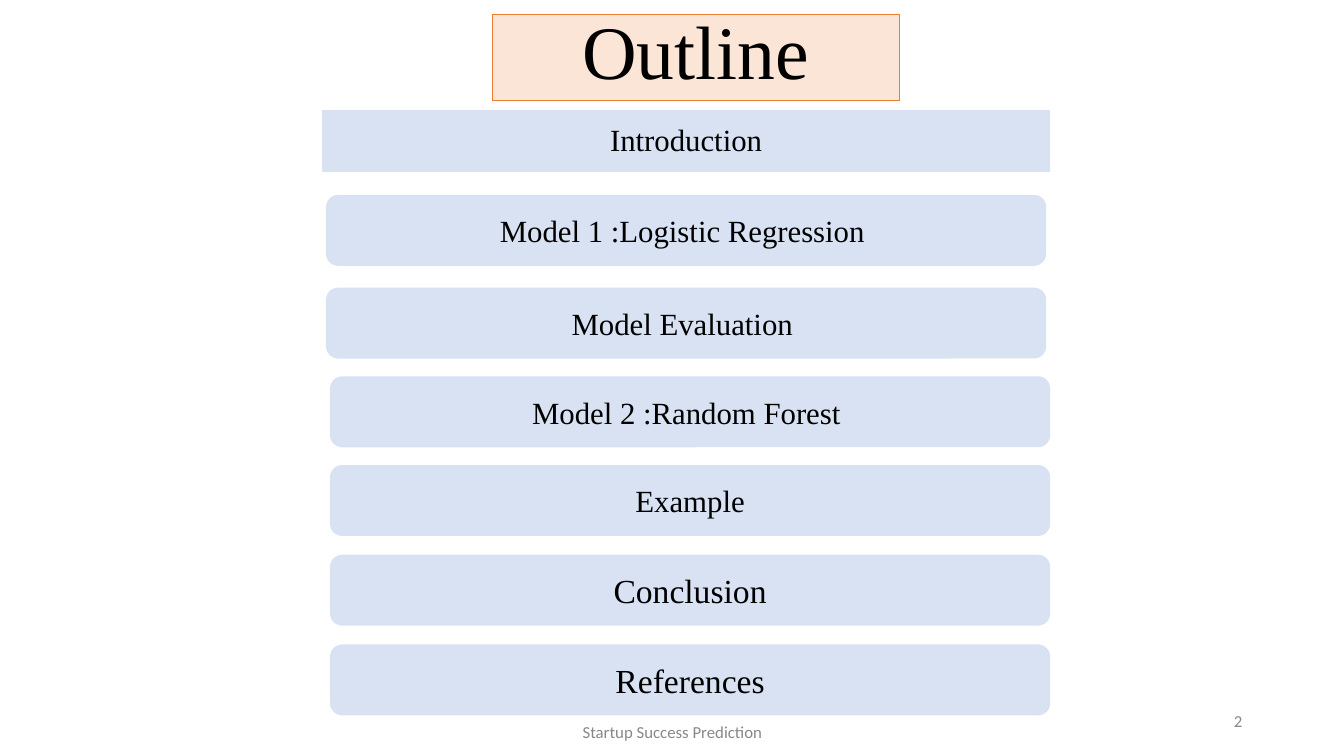
from pptx import Presentation
from pptx import util as u
from pptx.dml.color import RGBColor
from pptx.enum import shapes, text

COLORS = {
    "peach": "FBE5D6",
    "orange": "ED7D31",
    "blue": "D8E2F3",
    "black": "000000",
    "grey": "888888",
}
SERIF = "Times New Roman"
TOPICS = [
    ("Model 1 :Logistic Regression ", 3.24, 1.94, 22),
    ("Model Evaluation ", 3.24, 2.86, 22),
    ("Model 2 :Random Forest ", 3.28, 3.74, 22),
    ("Example", 3.28, 4.62, 22),
    ("Conclusion", 3.28, 5.51, 24),
    ("References", 3.28, 6.4, 24),
]


def color(name):
    """Return the named colour."""
    return RGBColor.from_string(COLORS[name])


def place(sp, box):
    """Move and size a shape in inches."""
    for name, value in zip(("left", "top", "width", "height"), box):
        setattr(sp, name, u.Inches(value))


def paint(sp, fill, line, width):
    """Set the fill and outline of a shape."""
    sp.fill.solid()
    sp.fill.fore_color.rgb = color(fill)
    sp.line.color.rgb = color(line)
    sp.line.width = u.Pt(width)


def write(sp, words, size, font=SERIF, ink="black", anchor="MIDDLE",
          align="CENTER", spacing=1.0):
    """Write one formatted paragraph in a shape."""
    tf = sp.text_frame
    p = tf.paragraphs[0]
    r = p.add_run()
    r.text = words
    formats = [
        (tf, {"word_wrap": True, "auto_size": text.MSO_AUTO_SIZE.NONE,
              "vertical_anchor": text.MSO_ANCHOR[anchor]}),
        (p, {"alignment": text.PP_ALIGN[align], "line_spacing": spacing,
             "space_before": u.Pt(0)}),
        (r.font, {"name": font, "size": u.Pt(size)}),
    ]
    for target, values in formats:
        for name, value in values.items():
            setattr(target, name, value)
    r.font.color.rgb = color(ink)


def add_topic(s, words, left, top, size):
    """Add a rounded topic bar."""
    sp = s.shapes.add_shape(shapes.MSO_SHAPE.ROUNDED_RECTANGLE, 0, 0, 0, 0)
    place(sp, (left, top, 7.13, 0.69))
    sp.shadow.inherit = False
    paint(sp, "blue", "blue", 1)
    write(sp, words, size)


def add_note(s, words, box, align):
    """Add a small grey footer text."""
    sp = s.shapes.add_textbox(0, 0, 0, 0)
    place(sp, box)
    write(sp, words, 12, "Calibri", "grey", align=align)


def main():
    """Build the outline slide."""
    prs = Presentation()
    prs.slide_width, prs.slide_height = u.Inches(13.33), u.Inches(7.5)
    s = prs.slides.add_slide(prs.slide_layouts[0])
    title, intro = s.shapes.title, s.placeholders[1]
    place(title, (4.88, 0.14, 4.04, 0.86))
    paint(title, "peach", "orange", 0.75)
    write(title, "Outline", 54, anchor="BOTTOM", spacing=0.9)
    place(intro, (3.2, 1.1, 7.21, 0.6))
    paint(intro, "blue", "blue", 1)
    write(intro, "Introduction", 22, spacing=0.9)
    for topic in TOPICS:
        add_topic(s, *topic)
    add_note(s, "Startup Success Prediction", (4.42, 7.18, 4.5, 0.17), "CENTER")
    add_note(s, "2", (9.42, 6.95, 3, 0.4), "RIGHT")
    prs.save("out.pptx")


if __name__ == "__main__":
    main()
